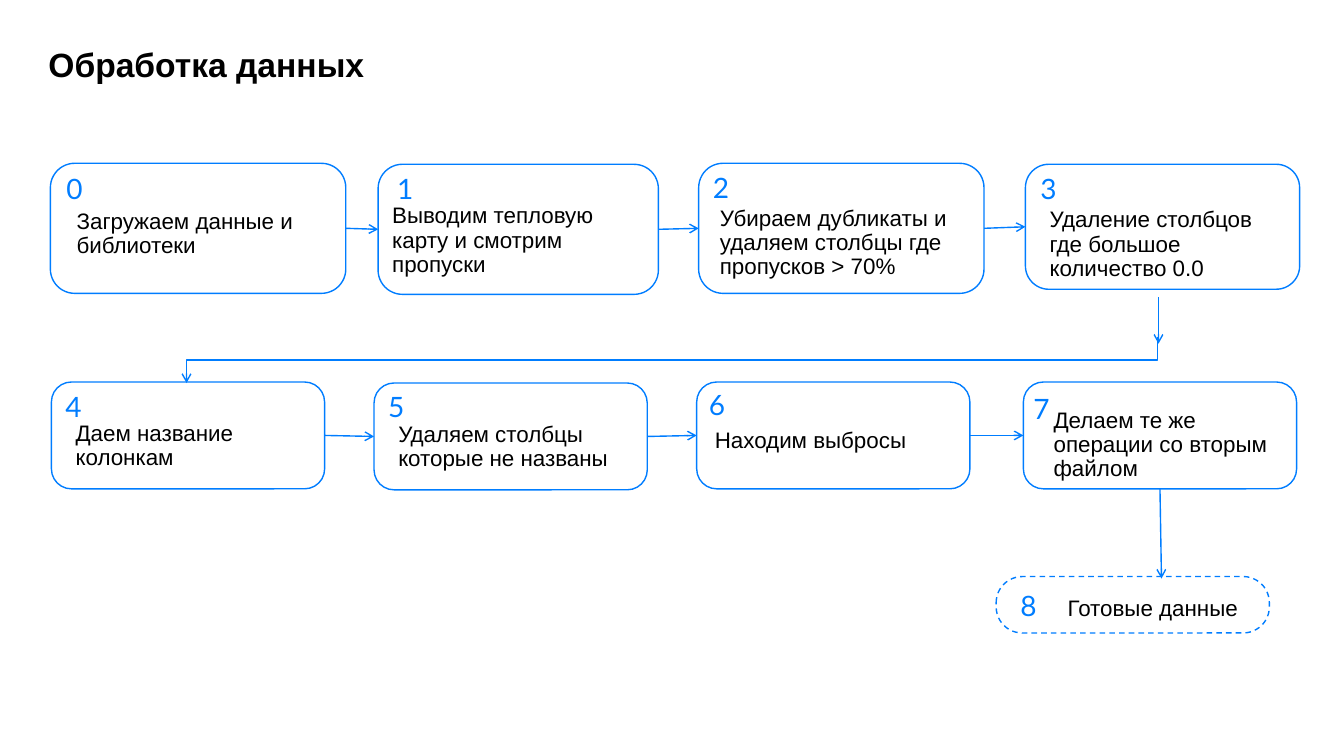
from dataclasses import dataclass

from lxml import etree
from pptx import Presentation
from pptx import util as u
from pptx.dml.color import RGBColor
from pptx.enum import dml, shapes, text
from pptx.oxml.ns import qn


@dataclass(frozen=True)
class Theme:
    blue: RGBColor = RGBColor(0x00, 0x7D, 0xFF)
    black: RGBColor = RGBColor(0, 0, 0)
    white: RGBColor = RGBColor(0xFF, 0xFF, 0xFF)
    font: str = "Arial"
    digit: str = "Lato"
    head: int = 24
    num: int = 20
    body: int = 16
    line: int = 1
    lead: float = 0.9


class Deck:
    def __init__(self, theme):
        self.theme = theme
        self.prs = Presentation()
        self.prs.slide_width = u.Inches(13.33)
        self.prs.slide_height = u.Inches(7.5)
        self.slide = self.prs.slides.add_slide(self.prs.slide_layouts[5])

    def fill(self, box, at, words, font, size, color, bold=False,
             lead=None, anchor=text.MSO_ANCHOR.TOP, fit=text.MSO_AUTO_SIZE.NONE):
        box.left, box.top, box.width, box.height = map(u.Inches, at)
        frame = box.text_frame
        frame.text = words
        frame.word_wrap = True
        frame.auto_size = fit
        frame.vertical_anchor = anchor
        frame.margin_left = frame.margin_right = 0
        frame.margin_top = frame.margin_bottom = 0
        para = frame.paragraphs[0]
        para.alignment = text.PP_ALIGN.LEFT
        para.line_spacing = lead
        style = para.runs[0].font
        style.name, style.size, style.bold = font, u.Pt(size), bold
        style.color.rgb = color

    def title(self, at, words):
        t = self.theme
        self.fill(self.slide.shapes.title, at, words, t.font, t.head,
                  t.black, True, t.lead)

    def label(self, at, words, **style):
        box = self.slide.shapes.add_textbox(*map(u.Inches, at))
        self.fill(box, at, words, fit=text.MSO_AUTO_SIZE.SHAPE_TO_FIT_TEXT,
                  **style)

    def step(self, num, at, spot, place, words, curve=0.187, dash=False):
        t = self.theme
        card = self.slide.shapes.add_shape(
            shapes.MSO_SHAPE.ROUNDED_RECTANGLE, *map(u.Inches, at))
        card.adjustments[0] = curve
        card.shadow.inherit = False
        card.fill.solid()
        card.fill.fore_color.rgb = t.white
        card.line.color.rgb = t.blue
        card.line.width = u.Pt(t.line)
        if dash:
            card.line.dash_style = dml.MSO_LINE.DASH
        self.label((*spot, 0.3, 0.34), str(num), font=t.digit, size=t.num,
                   color=t.blue)
        self.label(place, words, font=t.font, size=t.body, color=t.black,
                   lead=t.lead, anchor=text.MSO_ANCHOR.BOTTOM)
        return card

    def arrow(self, start, end, kind=shapes.MSO_CONNECTOR.STRAIGHT):
        link = self.slide.shapes.add_connector(
            kind, *map(u.Inches, (*start, *end)))
        link.line.color.rgb = self.theme.blue
        link.line.width = u.Pt(self.theme.line)
        props = link._element.spPr
        tail = etree.SubElement(props.find(qn("a:ln")), qn("a:tailEnd"))
        tail.set("type", "arrow")
        etree.SubElement(props, qn("a:effectLst"))
        return link

    def join(self, left, right):
        link = self.arrow((0, 0), (1, 1))
        link.begin_connect(left, 3)
        link.end_connect(right, 1)

    def bend(self, start, end):
        # A quarter turn makes the elbow leave and arrive vertically
        wide, high = end[1] - start[1], start[0] - end[0]
        left = (start[0] + end[0] - wide) / 2
        top = (start[1] + end[1] - high) / 2
        link = self.arrow((left, top), (left + wide, top + high),
                          shapes.MSO_CONNECTOR.ELBOW)
        link._element.spPr.find(qn("a:xfrm")).set("rot", "5400000")


# Card, number position, text area, wording
STEPS = [
    ((0.5, 1.62, 2.93, 1.29), (0.66, 1.7), (0.76, 2.08, 2.28, 0.48),
     "Загружаем данные и библиотеки"),
    ((3.75, 1.63, 2.78, 1.29), (3.94, 1.7), (3.89, 2.02, 2.53, 0.73),
     "Выводим тепловую карту и смотрим пропуски"),
    ((6.93, 1.62, 2.83, 1.29), (7.07, 1.69), (7.14, 2.04, 2.28, 0.73),
     "Убираем дубликаты и удаляем столбцы где пропусков > 70%"),
    ((10.17, 1.63, 2.72, 1.24), (10.32, 1.7), (10.41, 2.06, 2.28, 0.73),
     "Удаление столбцов где большое количество 0.0"),
    ((0.51, 3.79, 2.71, 1.06), (0.65, 3.86), (0.75, 4.19, 2.28, 0.48),
     "Даем название колонкам"),
    ((3.71, 3.8, 2.71, 1.06), (3.85, 3.86), (3.95, 4.2, 2.28, 0.48),
     "Удаляем столбцы которые не названы"),
    ((6.91, 3.79, 2.71, 1.06), (7.03, 3.84), (7.09, 4.26, 2.28, 0.24),
     "Находим выбросы"),
    ((10.15, 3.79, 2.71, 1.06), (10.25, 3.88), (10.45, 4.05, 2.28, 0.73),
     "Делаем те же операции со вторым файлом"),
]


def main():
    deck = Deck(Theme())
    deck.title((0.48, 0.48, 12.36, 0.71), "Обработка данных")

    # Result and numbered steps
    deck.step(8, (9.88, 5.72, 2.71, 0.56), (10.12, 5.84),
              (10.59, 5.92, 1.86, 0.24), "Готовые данные", 0.463, True)
    cards = [deck.step(num, *step) for num, step in enumerate(STEPS)]

    # Arrows along each row of four
    for row in (cards[:4], cards[4:]):
        for left, right in zip(row, row[1:]):
            deck.join(left, right)

    # Passage to the second row and to the result
    deck.bend((11.48, 3.34), (1.85, 3.8))
    deck.arrow((11.49, 2.95), (11.49, 3.41))
    last = deck.arrow((11.5, 4.85), (11.52, 5.74))
    last.begin_connect(cards[7], 2)

    deck.prs.save("out.pptx")


if __name__ == "__main__":
    main()
